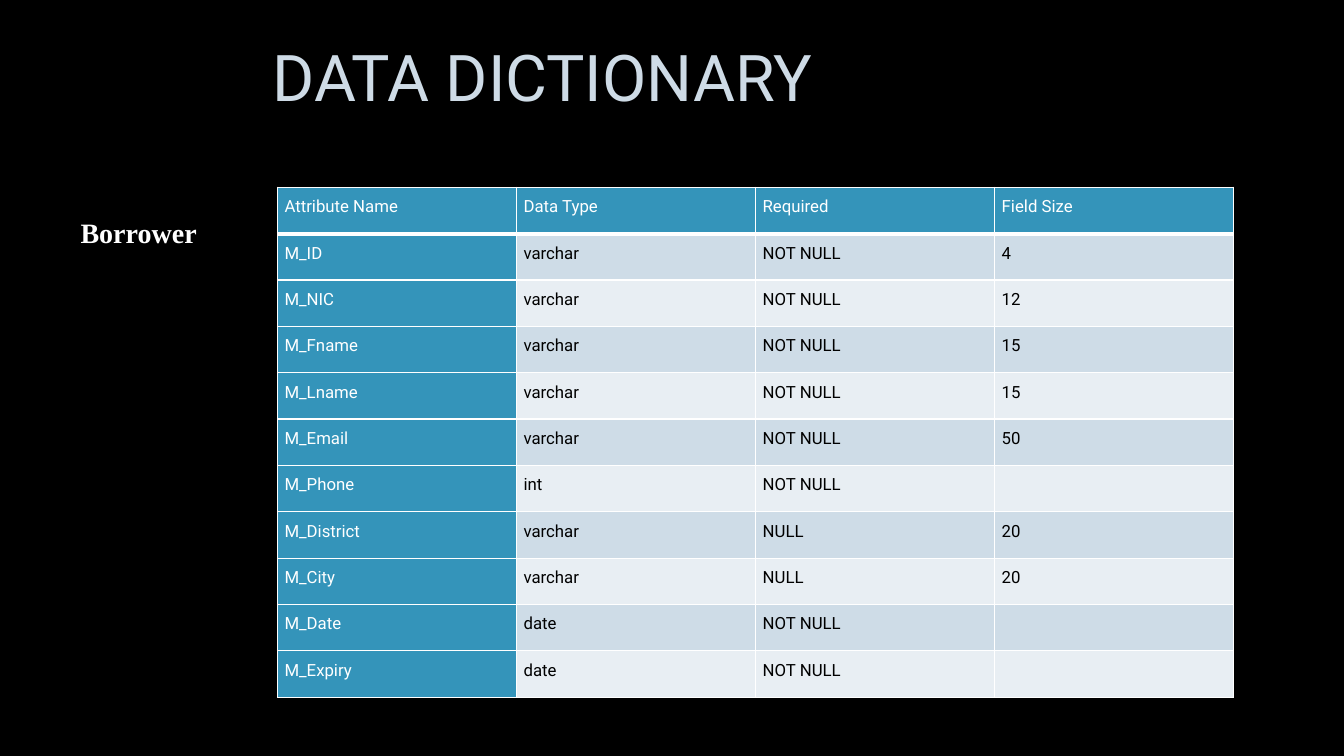
from collections import namedtuple
from dataclasses import dataclass

from lxml.etree import SubElement
from pptx import Presentation
from pptx.dml.color import RGBColor
from pptx.enum.text import MSO_ANCHOR, MSO_AUTO_SIZE, PP_ALIGN
from pptx.oxml.ns import qn
from pptx.util import Cm, Pt

Box = namedtuple("Box", "left top width height")


@dataclass(frozen=True)
class Theme:
    background: str = "000000"
    title: str = "CEDBE6"
    light: str = "FFFFFF"
    dark: str = "000000"
    accent: str = "3494BA"
    bands: tuple = ("CEDCE7", "E8EEF3")
    sans: str = "Roboto"
    serif: str = "Times New Roman"
    title_size: int = 46
    label_size: int = 20
    cell_size: int = 12
    thin_line: int = 1
    thick_line: int = 3


THEME = Theme()
ATTRIBUTES = [
    ("Attribute Name", "Data Type", "Required", "Field Size"),
    ("M_ID", "varchar", "NOT NULL", "4"),
    ("M_NIC", "varchar", "NOT NULL", "12"),
    ("M_Fname", "varchar", "NOT NULL", "15"),
    ("M_Lname", "varchar", "NOT NULL", "15"),
    ("M_Email", "varchar", "NOT NULL", "50"),
    ("M_Phone", "int", "NOT NULL", ""),
    ("M_District", "varchar", "NULL", "20"),
    ("M_City", "varchar", "NULL", "20"),
    ("M_Date", "date", "NOT NULL", ""),
    ("M_Expiry", "date", "NOT NULL", ""),
]


def apply_format(target, values):
    for name, value in values.items():
        setattr(target, name, value)


def write_text(para, text, color, **font_values):
    span = para.add_run()
    span.text = text
    apply_format(span.font, font_values)
    span.font.color.rgb = RGBColor.from_string(color)


def add_title(page, box, text):
    title = page.shapes.title
    apply_format(title, box._asdict())
    apply_format(title.text_frame, {
        "vertical_anchor": MSO_ANCHOR.MIDDLE,
        "auto_size": MSO_AUTO_SIZE.NONE,
        "word_wrap": True,
    })
    para = title.text_frame.paragraphs[0]
    apply_format(para, {"alignment": PP_ALIGN.CENTER, "line_spacing": 0.9})
    write_text(para, text, THEME.title, name=THEME.sans, size=Pt(THEME.title_size))


def add_label(page, box, text):
    frame = page.shapes.add_textbox(*box).text_frame
    apply_format(frame, {
        "vertical_anchor": MSO_ANCHOR.TOP,
        "auto_size": MSO_AUTO_SIZE.NONE,
        "word_wrap": False,
        "margin_top": Cm(0.23),
    })
    write_text(frame.paragraphs[0], text, THEME.light, name=THEME.serif,
               size=Pt(THEME.label_size), bold=True)


def add_borders(cell, bottom_width):
    properties = cell._tc.get_or_add_tcPr()
    for side in "LRTB":
        width = bottom_width if side == "B" else THEME.thin_line
        line = SubElement(properties, qn(f"a:ln{side}"), w=str(Pt(width)))
        SubElement(SubElement(line, qn("a:solidFill")), qn("a:srgbClr"), val=THEME.light)


def format_cell(cell, text, row, column):
    is_heading = row == 0 or column == 0
    apply_format(cell, {
        "margin_left": Cm(0.18), "margin_right": Cm(0.18),
        "margin_top": 0, "margin_bottom": 0,
    })
    # Borders come before the fill in the cell properties
    add_borders(cell, THEME.thick_line if row == 0 else THEME.thin_line)
    fill_color = THEME.accent if is_heading else THEME.bands[(row - 1) % 2]
    cell.fill.solid()
    cell.fill.fore_color.rgb = RGBColor.from_string(fill_color)
    para = cell.text_frame.paragraphs[0]
    apply_format(para, {"line_spacing": 1.5, "space_after": Pt(10)})
    para.font.size = Pt(THEME.cell_size)
    if text:
        write_text(para, text, THEME.light if is_heading else THEME.dark,
                   name=THEME.sans, size=Pt(THEME.cell_size))


def add_dictionary_table(page, box, rows):
    table = page.shapes.add_table(len(rows), len(rows[0]), *box).table
    apply_format(table, {"first_col": True})
    for column in table.columns:
        column.width = box.width // len(rows[0])
    for row in table.rows:
        row.height = box.height // len(rows)
    for row_index, values in enumerate(rows):
        for column_index, text in enumerate(values):
            format_cell(table.cell(row_index, column_index), text, row_index, column_index)


def build_dictionary_page(deck):
    page = deck.slides.add_slide(deck.slide_layouts[5])
    page.background.fill.solid()
    page.background.fill.fore_color.rgb = RGBColor.from_string(THEME.background)
    # Title
    add_title(page, Box(Cm(-0.71), Cm(0.28), Cm(28.75), Cm(3.51)), "DATA DICTIONARY")
    # Attribute table
    add_dictionary_table(page, Box(Cm(6.99), Cm(4.72), Cm(24.1), Cm(12.85)), ATTRIBUTES)
    # Entity name
    add_label(page, Box(Cm(1.78), Cm(5.21), Cm(3.48), Cm(2.49)), "Borrower")


def main():
    deck = Presentation()
    apply_format(deck, {"slide_width": Cm(33.87), "slide_height": Cm(19.05)})
    build_dictionary_page(deck)
    deck.save("out.pptx")


if __name__ == "__main__":
    main()
